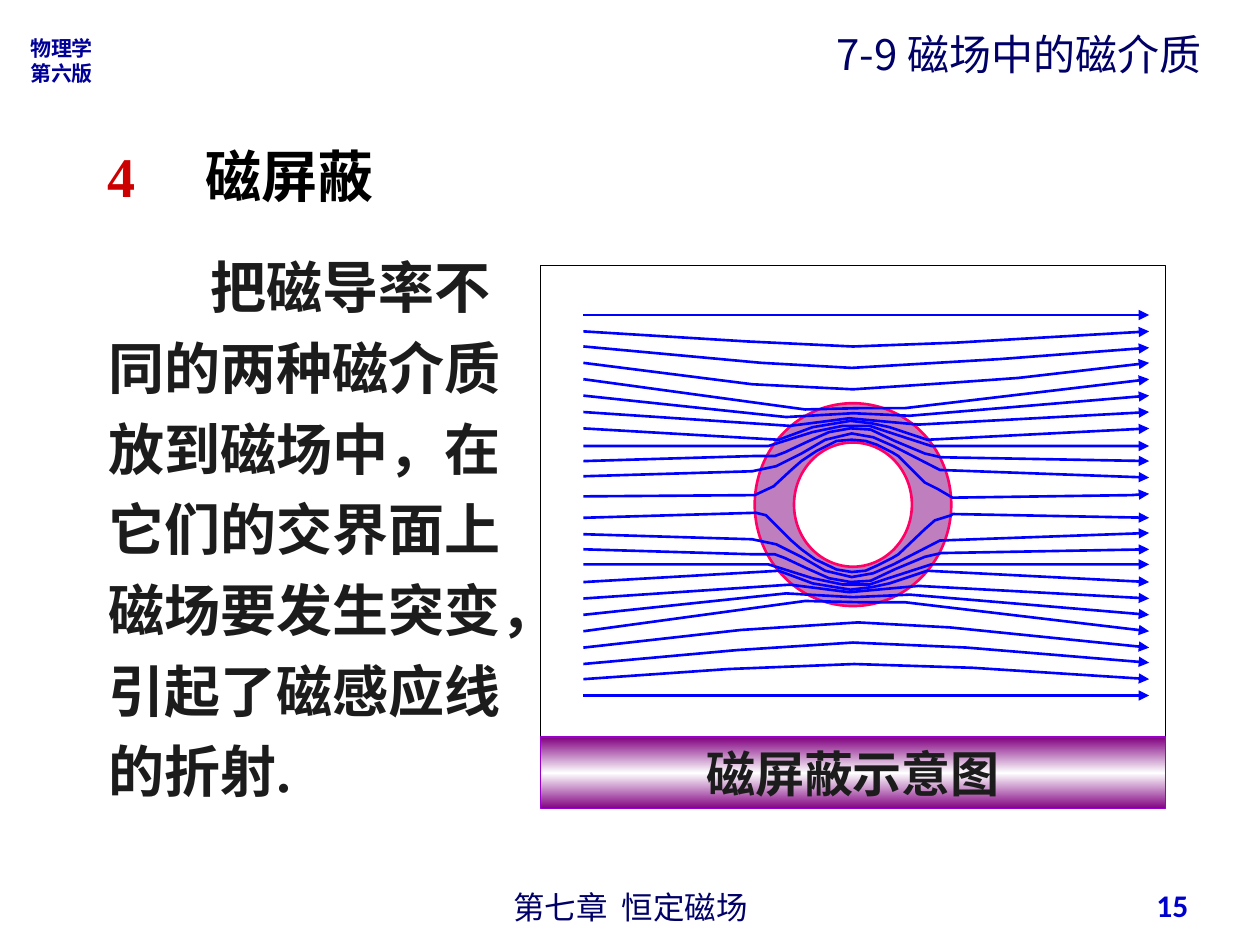
import copy

import pptx
import pptx.util
import pptx.dml.color
import pptx.enum.shapes
import pptx.enum.text
import pptx.oxml
import pptx.oxml.ns
from pptx.oxml.xmlchemy import OxmlElement

# The slide is a grid of 1000 columns by 750 rows
UNIT = pptx.util.Inches(0.01)
COLUMNS, ROWS = 1000, 750

SANS, SERIF = "Noto Sans CJK SC", "Times New Roman"
NAVY, INK, PURPLE, FIELD_BLUE = "000066", "1C1C1C", "800080", "0000FF"
ALIGN = pptx.enum.text.PP_ALIGN
ANCHOR = pptx.enum.text.MSO_ANCHOR
SHAPE = pptx.enum.shapes.MSO_SHAPE

FIELD_LEFT, FIELD_RIGHT = 463, 912
FIELD_TOP, FIELD_BOTTOM = 250, 552
MIRROR_SUM = FIELD_TOP + FIELD_BOTTOM

# Field lines drawn above the ring and mirrored below it:
# row at the left edge, bends, row at the right edge
MIRRORED_LINES = [
    (301, [(639, 325), (682, 324), (718, 324)], 301),
    (314, [(624, 331), (677, 328), (722, 330)], 314),
    (327, [(627, 338), (674, 332), (729, 337)], 327),
    (340, [(618, 349), (645, 339), (675, 334), (692, 336), (706, 339),
           (736, 349)], 340),
    (354, [(610, 354), (645, 343), (669, 338), (690, 338), (705, 343),
           (739, 354)], 354),
    (366, [(598, 362), (615, 362), (623, 359), (640, 351), (658, 343),
           (675, 340), (691, 341), (710, 350), (734, 360), (747, 363)], 366),
    (378, [(597, 374), (616, 370), (636, 360), (655, 349), (676, 344),
           (693, 347), (709, 354), (746, 373)], 379),
]
# Field lines with a course of their own
SINGLE_LINES = [
    (263, [(593, 271), (677, 275), (758, 272)], 263),
    (275, [(604, 288), (676, 292), (794, 285)], 276),
    (288, [(597, 305), (677, 309), (752, 304), (808, 300)], 288),
    (394, [(599, 393), (614, 386), (628, 373), (636, 366), (648, 358),
           (664, 350), (676, 349), (687, 350), (696, 353), (708, 359),
           (713, 362), (734, 383), (744, 388), (756, 395), (898, 393)], 392),
    (411, [(600, 407), (608, 409), (614, 415), (628, 429), (636, 436),
           (647, 444), (664, 452), (676, 454), (687, 453), (696, 449),
           (708, 443), (713, 440), (734, 420), (742, 413), (755, 409),
           (756, 408)], 411),
    (514, [(588, 500), (681, 494), (754, 498)], 514),
    (527, [(585, 516), (677, 510), (767, 514)], 526),
    (539, [(578, 531), (678, 527), (772, 530)], 539),
]


def color(hex_string):
    return pptx.dml.color.RGBColor.from_string(hex_string)


def cells(*counts):
    return [round(count * UNIT) for count in counts]


def place(shape, left, top, width, height):
    shape.left, shape.top, shape.width, shape.height = cells(
        left, top, width, height)


def format_run(run, size, font, hex_string, bold):
    run.font.size = pptx.util.Pt(size)
    run.font.bold = bold
    run.font.color.rgb = color(hex_string)
    run.font.name = font
    east_asian = OxmlElement("a:ea")
    east_asian.set("typeface", SANS)
    run.font._element.append(east_asian)


def write(shape, text, size, font, hex_string, bold=False, align=ALIGN.LEFT,
          anchor=ANCHOR.TOP, spacing=1.0, grow=True):
    frame = shape.text_frame
    frame.text = text
    frame.word_wrap = True
    frame.vertical_anchor = anchor
    fit = pptx.enum.text.MSO_AUTO_SIZE
    frame.auto_size = fit.SHAPE_TO_FIT_TEXT if grow else fit.NONE
    for paragraph in frame.paragraphs:
        paragraph.alignment = align
        paragraph.line_spacing = spacing
        paragraph.space_before = pptx.util.Pt(0)
        for run in paragraph.runs:
            format_run(run, size, font, hex_string, bold)


def add_label(slide, box, *text_and_style, **options):
    label = slide.shapes.add_textbox(*cells(*box))
    write(label, *text_and_style, **options)


def add_heading(slide):
    heading = slide.shapes.title
    place(heading, 75, 107, 283, 64)
    write(heading, "4", 32, SERIF, "CC0000", bold=True)
    paragraph = heading.text_frame.paragraphs[0]
    # Tab stop between the number and the words
    stops = OxmlElement("a:tabLst")
    stop = OxmlElement("a:tab")
    stop.set("pos", str(78 * UNIT))
    stop.set("algn", "l")
    stops.append(stop)
    paragraph._p.get_or_add_pPr().append(stops)
    words = paragraph.add_run()
    words.text = "\t磁屏蔽"
    format_run(words, 32, SERIF, "000000", True)


def add_explanation(slide):
    explanation = slide.placeholders[1]
    place(explanation, 76, 185, 345, 458)
    write(explanation,
          "把磁导率不同的两种磁介质放到磁场中，在它们的交界面上磁场要发生突变，"
          "引起了磁感应线的折射.",
          32, SERIF, INK, bold=True, spacing=1.2)
    # First line indent, no bullet
    properties = explanation.text_frame.paragraphs[0]._p.get_or_add_pPr()
    properties.set("marL", "0")
    properties.set("indent", str(81 * UNIT))
    properties.append(OxmlElement("a:buNone"))


def add_area(slide, preset, box, line_color, line_width):
    area = slide.shapes.add_shape(preset, *cells(*box))
    area.shadow.inherit = False
    area.line.color.rgb = color(line_color)
    area.line.width = pptx.util.Pt(line_width)
    return area


def add_ring(slide):
    ring = add_area(slide, SHAPE.DONUT, (599, 320, 156, 161), "FF0066", 1.5)
    ring.adjustments[0] = 0.2
    ring.fill.solid()
    ring.fill.fore_color.rgb = color(PURPLE)
    # Half transparent
    alpha = OxmlElement("a:alpha")
    alpha.set("val", "50000")
    ring._element.spPr.find(
        pptx.oxml.ns.qn("a:solidFill"))[0].append(alpha)


def style_field_line(field_line):
    field_line.line.color.rgb = color(FIELD_BLUE)
    field_line.line.width = pptx.util.Pt(1.5)
    arrowhead = OxmlElement("a:tailEnd")
    arrowhead.set("type", "triangle")
    field_line.line._get_or_add_ln().append(arrowhead)


def add_straight_line(slide, row):
    field_line = slide.shapes.add_connector(
        pptx.enum.shapes.MSO_CONNECTOR.STRAIGHT,
        *cells(FIELD_LEFT, row, FIELD_RIGHT, row))
    style_field_line(field_line)
    field_line._element.spPr.append(OxmlElement("a:effectLst"))


def add_bent_line(slide, start_row, bends, end_row, mirrored=False):
    points = [(FIELD_LEFT, start_row), *bends, (FIELD_RIGHT, end_row)]
    if mirrored:
        points = [(column, MIRROR_SUM - row) for column, row in points]
    builder = slide.shapes.build_freeform(*points[0], scale=UNIT)
    builder.add_line_segments(points[1:], close=False)
    field_line = builder.convert_to_shape()
    field_line.shadow.inherit = False
    field_line.fill.background()
    style_field_line(field_line)


def add_caption(slide):
    caption = add_area(slide, SHAPE.RECTANGLE, (429, 585, 496, 57),
                       "9900CC", 0.75)
    caption.fill.gradient()
    caption.fill.gradient_angle = 90
    # Third stop, so that the white band lies in the middle
    first_stop = caption.fill.gradient_stops[0]._gs
    first_stop.addnext(copy.deepcopy(first_stop))
    stops = zip(caption.fill.gradient_stops, (0, 0.5, 1),
                (PURPLE, "FFFFFF", PURPLE))
    for stop, position, hex_string in stops:
        stop.position = position
        stop.color.rgb = color(hex_string)
    write(caption, "磁屏蔽示意图", 28, SERIF, INK, bold=True,
          align=ALIGN.CENTER)


def add_diagram(slide):
    panel = add_area(slide, SHAPE.RECTANGLE, (429, 211, 496, 421),
                     "000000", 0.75)
    panel.fill.solid()
    panel.fill.fore_color.rgb = color("FFFFFF")
    add_ring(slide)
    for row in (FIELD_TOP, FIELD_BOTTOM):
        add_straight_line(slide, row)
    for course in SINGLE_LINES:
        add_bent_line(slide, *course)
    for course in MIRRORED_LINES:
        for mirrored in (False, True):
            add_bent_line(slide, *course, mirrored=mirrored)
    add_caption(slide)


def main():
    deck = pptx.Presentation()
    deck.slide_width, deck.slide_height = cells(COLUMNS, ROWS)
    slide = deck.slides.add_slide(deck.slide_layouts[1])
    # Running header and footer
    add_label(slide, (14, 23, 72, 50), "物理学\n第六版", 12, SANS, "000099",
              bold=True)
    add_label(slide, (654, 10, 349, 58), "7-9 磁场中的磁介质", 24, SANS, NAVY,
              spacing=1.2)
    add_label(slide, (342, 700, 317, 29), "第七章  恒定磁场", 18, "Arial", NAVY,
              align=ALIGN.CENTER, grow=False)
    add_label(slide, (720, 698, 233, 40), "15", 18, "Calibri", "0000CC",
              bold=True, align=ALIGN.RIGHT, anchor=ANCHOR.MIDDLE, grow=False)
    # Content
    add_heading(slide)
    add_explanation(slide)
    add_diagram(slide)
    deck.save("out.pptx")


if __name__ == "__main__":
    main()
